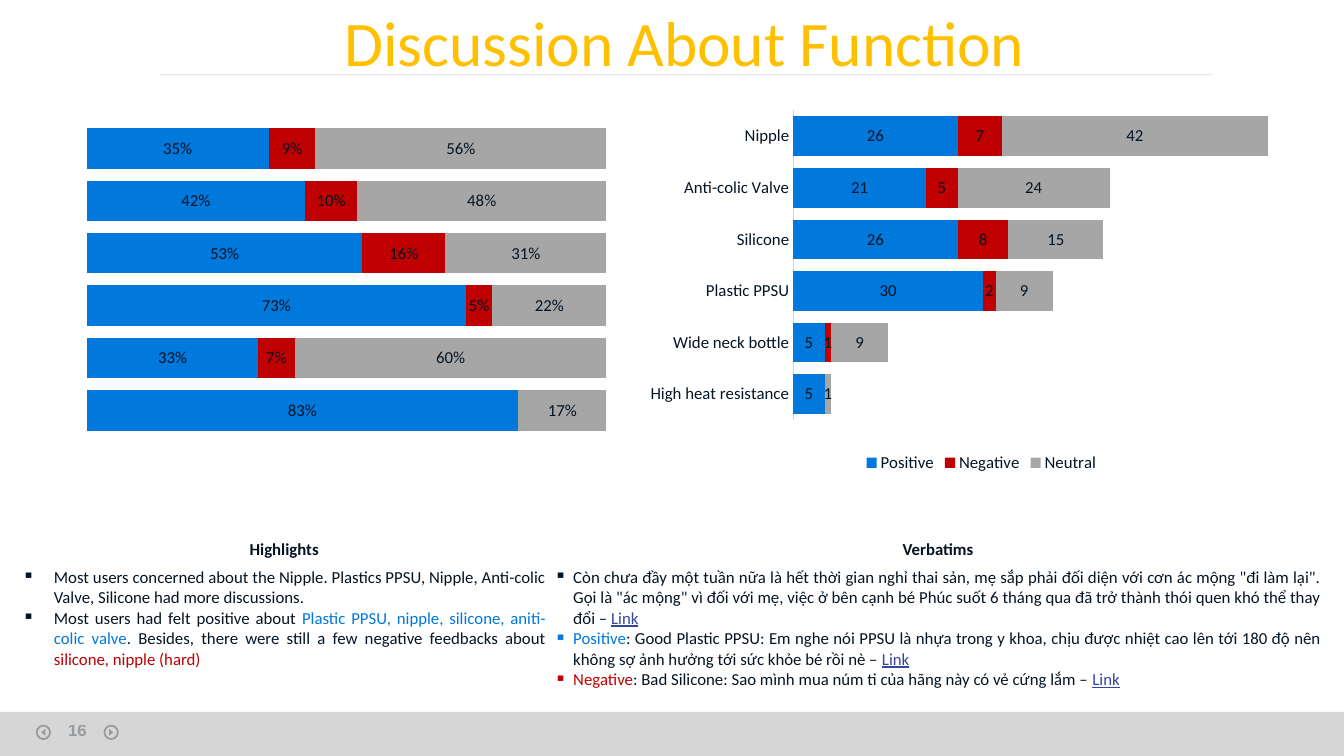
import pptx
import pptx.chart.data
import pptx.dml.color
import pptx.enum.chart
import pptx.enum.shapes
import pptx.enum.text
import pptx.oxml
import pptx.oxml.ns
import pptx.util
from lxml import etree

Pt = pptx.util.Pt
qn = pptx.oxml.ns.qn
SHAPE = pptx.enum.shapes.MSO_SHAPE
ALIGN = pptx.enum.text.PP_ALIGN
ANCHOR = pptx.enum.text.MSO_ANCHOR
CHART = pptx.enum.chart.XL_CHART_TYPE

INK, BLUE, RED, GREY, LINK = "051423", "0078DC", "C00000", "A6A6A6", "3445A1"
PLAIN_TABLE_STYLE = "{2D5ABB26-0587-4C30-8999-92F81FD0307C}"

FEATURES = ["High heat resistance", "Wide neck bottle", "Plastic PPSU", "Silicone",
            "Anti-colic Valve", "Nipple"]
SHARES = {"Series 1": [0.83, 0.33, 0.73, 0.53, 0.42, 0.35],
          "Series 2": [None, 0.07, 0.05, 0.16, 0.1, 0.09],
          "Series 3": [0.17, 0.6, 0.22, 0.31, 0.48, 0.56]}
MENTIONS = {"Positive": [5, 5, 30, 26, 21, 26],
            "Negative": [None, 1, 2, 8, 5, 7],
            "Neutral": [1, 9, 9, 15, 24, 42]}

# Each paragraph is a list of (text, colour) runs.
HIGHLIGHTS = [
    [("Most users concerned about the Nipple. Plastics PPSU, Nipple, Anti-colic Valve, "
      "Silicone had more discussions.", INK)],
    [("Most users had felt positive about ", INK),
     ("Plastic PPSU, nipple, silicone, aniti-colic valve", BLUE),
     (". Besides, there were still a few negative feedbacks about ", INK),
     ("silicone, nipple (hard)", RED)],
]
VERBATIMS = [
    [("Còn chưa đầy một tuần nữa là hết thời gian nghỉ thai sản, mẹ sắp phải đối diện với "
      "cơn ác mộng \"đi làm lại\". Gọi là \"ác mộng\" vì đối với mẹ, việc ở bên cạnh bé Phúc "
      "suốt 6 tháng qua đã trở thành thói quen khó thể thay đổi – ", INK), ("Link", LINK)],
    [("Positive", BLUE),
     (": Good Plastic PPSU: Em nghe nói PPSU là nhựa trong y khoa, chịu được nhiệt cao lên "
      "tới 180 độ nên không sợ ảnh hưởng tới sức khỏe bé rồi nè – ", INK), ("Link", LINK)],
    [("Negative", RED),
     (": Bad Silicone: Sao mình mua núm ti của hãng này có vẻ cứng lắm – ", INK),
     ("Link", LINK)],
]


def rgb(color):
    return pptx.dml.color.RGBColor.from_string(color)


def fade(element, percent):
    """Set the opacity of every colour inside the element."""
    for color in element.iter(qn("a:srgbClr")):
        etree.SubElement(color, qn("a:alpha")).set("val", str(percent * 1000))


def format_font(font, size=12, color=INK, face="Calibri", bold=False, underline=False):
    font.size, font.name, font.bold, font.underline = Pt(size), face, bold, underline
    font.color.rgb = rgb(color)


def write(paragraph, text, align=ALIGN.CENTER, **style):
    paragraph.alignment = align
    run = paragraph.add_run()
    run.text = text
    format_font(run.font, **style)
    return run


def add_label(slide, box, text, **style):
    frame = slide.shapes.add_textbox(*map(Pt, box)).text_frame
    frame.word_wrap = True
    frame.vertical_anchor = ANCHOR.MIDDLE
    frame.margin_left = frame.margin_right = frame.margin_top = frame.margin_bottom = 0
    return write(frame.paragraphs[0], text, **style)


def add_form(slide, preset, box, fill=None, line=None, opacity=30, rotation=0):
    form = slide.shapes.add_shape(preset, *map(Pt, box))
    form.shadow.inherit = False
    form.rotation = rotation
    if fill:
        form.fill.solid()
        form.fill.fore_color.rgb = rgb(fill)
    else:
        form.fill.background()
    if line:
        form.line.color.rgb = rgb(line)
        form.line.width = Pt(1.25)
    else:
        form.line.fill.background()
    fade(form._element.spPr, opacity)


def add_footer(slide, left, top, width, height):
    add_form(slide, SHAPE.RECTANGLE, (left, top, width, height), fill="D2D2D2", opacity=90)
    ring, tip_width, tip_height = 9.6, 5, 3
    middle = top + 14.6
    for center, rotation in ((left + 31, 270), (left + 79.4, 90)):
        add_form(slide, SHAPE.OVAL, (center - ring / 2, middle - ring / 2, ring, ring), line=INK)
        add_form(slide, SHAPE.ISOSCELES_TRIANGLE,
                 (center - tip_width / 2, middle - tip_height / 2, tip_width, tip_height),
                 fill=INK, rotation=rotation)
    number = add_label(slide, (left + 35.3, top + 3, 40, 20), "16", face="Arial", bold=True)
    fade(number._r, 30)


def add_heading(slide, left, top, width, height):
    rule_y = top + height - 0.6
    rule = slide.shapes.add_connector(pptx.enum.shapes.MSO_CONNECTOR.STRAIGHT, Pt(left + 78.5),
                                      Pt(rule_y), Pt(left + width - 77), Pt(rule_y))
    rule.line.color.rgb = rgb("646E78")
    rule.line.width = Pt(0.5)
    fade(rule._element.spPr, 25)
    etree.SubElement(rule._element.spPr, qn("a:effectLst"))
    add_label(slide, (left, top, width, height), "Discussion About Function",
              size=45.3, color="FFC000")


def place_plot(chart, layout):
    """Fix the inner plot area as fractions of the chart: x, y, w, h."""
    area = chart._chartSpace.chart.plotArea
    for old in area.findall(qn("c:layout")):
        area.remove(old)
    node = etree.Element(qn("c:layout"))
    manual = etree.SubElement(node, qn("c:manualLayout"))
    settings = [("layoutTarget", "inner"), ("xMode", "edge"), ("yMode", "edge"),
                *zip("xywh", layout)]
    for tag, value in settings:
        etree.SubElement(manual, qn("c:" + tag)).set("val", str(value))
    area.insert(0, node)


def add_bars(slide, box, kind, categories, table, number_format, maximum, layout):
    data = pptx.chart.data.CategoryChartData(number_format=number_format)
    data.categories = categories
    for name, values in table.items():
        data.add_series(name, values)
    chart = slide.shapes.add_chart(kind, *map(Pt, box), data).chart
    format_font(chart.font)
    chart.has_title = chart.has_legend = False
    plot = chart.plots[0]
    plot.gap_width, plot.overlap, plot.vary_by_categories = 30, 100, False
    plot.has_data_labels = True
    labels = plot.data_labels
    labels.show_value = True
    labels.number_format, labels.number_format_is_linked = number_format, False
    format_font(labels.font)
    for series, color in zip(plot.series, (BLUE, RED, GREY)):
        series.format.fill.solid()
        series.format.fill.fore_color.rgb = rgb(color)
    axis = chart.value_axis
    axis.visible = axis.has_major_gridlines = False
    axis.minimum_scale, axis.maximum_scale = 0, maximum
    place_plot(chart, layout)
    return chart


def add_share_chart(slide, *box):
    chart = add_bars(slide, box, CHART.BAR_STACKED_100, list("123456"), SHARES, "0%", 1,
                     (0.048, 0.115, 0.946, 0.759))
    chart.category_axis.visible = False


def add_mention_chart(slide, *box):
    chart = add_bars(slide, box, CHART.BAR_STACKED, FEATURES, MENTIONS, "General", 80,
                     (0.244, 0.116, 0.689, 0.747))
    axis = chart.category_axis
    axis.major_tick_mark = pptx.enum.chart.XL_TICK_MARK.NONE
    axis.format.line.color.rgb = rgb("C1DCF6")
    axis.format.line.width = Pt(0.75)
    format_font(axis.tick_labels.font)
    chart.has_legend = True
    chart.legend.position = pptx.enum.chart.XL_LEGEND_POSITION.BOTTOM
    chart.legend.include_in_layout = False
    format_font(chart.legend.font)


def add_bullet(paragraph, indent):
    properties = paragraph._p.get_or_add_pPr()
    properties.set("marL", str(Pt(indent)))
    properties.set("indent", str(-Pt(indent)))
    etree.SubElement(properties, qn("a:buChar")).set("char", "▪")


def add_comments(slide, left, top, width, height):
    table = slide.shapes.add_table(2, 2, *map(Pt, (left, top, width, height))).table
    table.first_row = table.horz_banding = False
    table._tbl.tblPr.find(qn("a:tableStyleId")).text = PLAIN_TABLE_STYLE
    table.rows[0].height, table.rows[1].height = Pt(22.3), Pt(height - 22.3)
    table.columns[0].width, table.columns[1].width = Pt(380), Pt(width - 380)
    for cell in table.iter_cells():
        cell.fill.background()
        cell.margin_left = cell.margin_right = Pt(3)
        cell.margin_top = cell.margin_bottom = Pt(1.5)
    topics = (("Highlights", HIGHLIGHTS, 22.5), ("Verbatims", VERBATIMS, 13.5))
    for column, (topic, comments, indent) in enumerate(topics):
        header = table.cell(0, column)
        header.vertical_anchor = ANCHOR.MIDDLE
        write(header.text_frame.paragraphs[0], topic, bold=True)
        frame = table.cell(1, column).text_frame
        for index, runs in enumerate(comments):
            paragraph = frame.add_paragraph() if index else frame.paragraphs[0]
            add_bullet(paragraph, indent)
            for text, color in runs:
                write(paragraph, text, ALIGN.JUSTIFY, color=color, underline=color == LINK)


def main():
    deck = pptx.Presentation()
    deck.slide_width, deck.slide_height = Pt(960), Pt(540)
    slide = deck.slides.add_slide(deck.slide_layouts[6])
    add_footer(slide, 0, 508.5, 960, 31.5)
    add_share_chart(slide, 43.2, 53.3, 392.4, 296)
    add_mention_chart(slide, 438.5, 44.6, 525, 296)
    add_heading(slide, 35.3, 4.3, 907.2, 49.7)
    add_comments(slide, 13, 381.6, 934, 190.8)
    deck.save("out.pptx")


if __name__ == "__main__":
    main()
